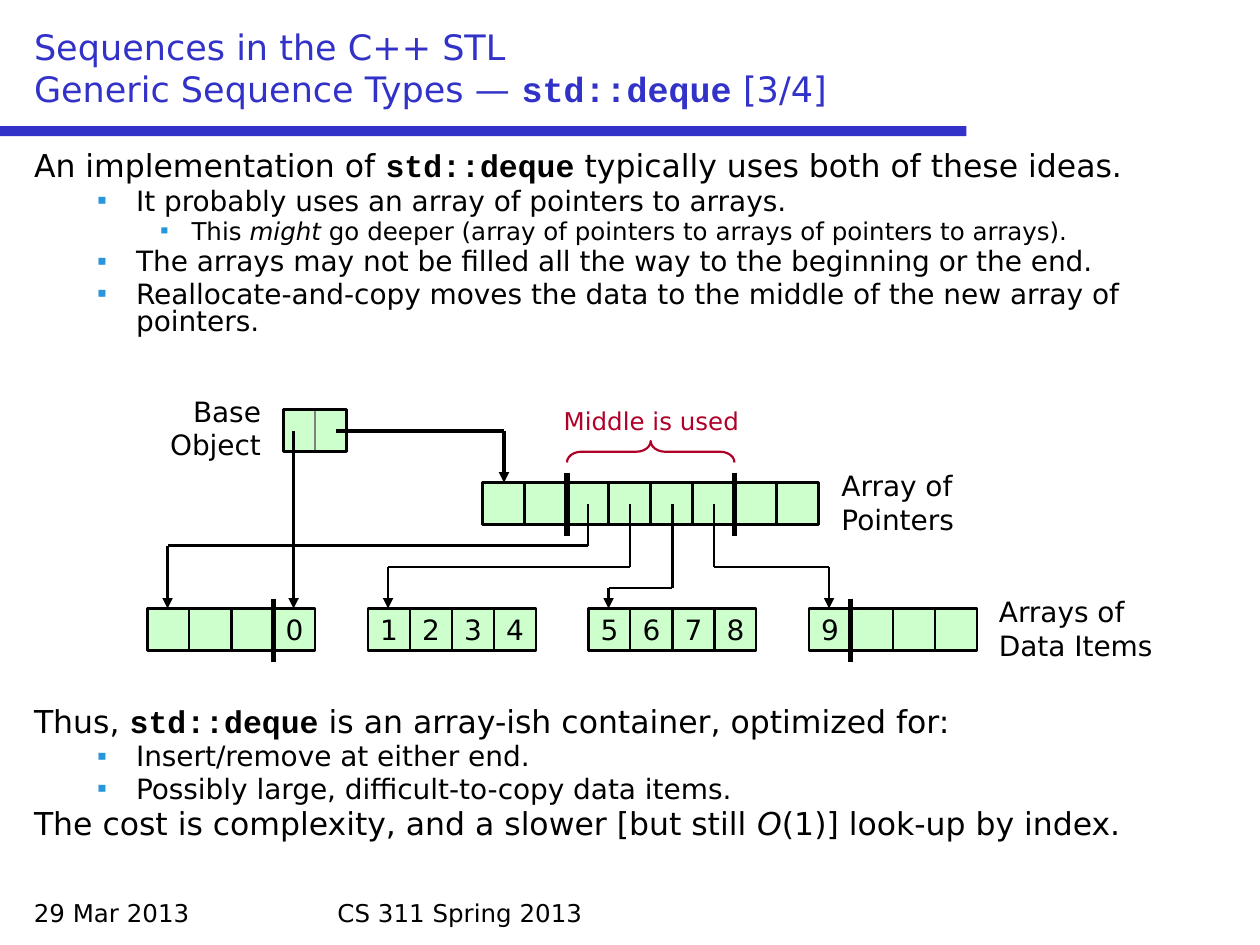
import pptx
import pptx.util
import pptx.dml.color
import pptx.enum.shapes
import pptx.enum.text
import pptx.oxml.ns
from lxml import etree

Inches, Pt = pptx.util.Inches, pptx.util.Pt
RGBColor = pptx.dml.color.RGBColor
SHAPE = pptx.enum.shapes.MSO_SHAPE
ALIGN = pptx.enum.text.PP_ALIGN
ANCHOR = pptx.enum.text.MSO_ANCHOR
qn = pptx.oxml.ns.qn

BLUE = RGBColor(0x32, 0x32, 0xC8)
GREEN = RGBColor(0xCC, 0xFF, 0xCC)
CRIMSON = RGBColor(0xAF, 0x00, 0x28)
GRAY = RGBColor(0x80, 0x80, 0x80)
BLACK = RGBColor(0, 0, 0)
BULLET_BLUE = "2896DC"
SANS, MONO = "DejaVu Sans", "Courier New"

deck = pptx.Presentation()
deck.slide_width, deck.slide_height = Inches(10), Inches(7.5)
slide = deck.slides.add_slide(deck.slide_layouts[1])
shapes = slide.shapes


def write(paragraph, text, size, color=BLACK, align=ALIGN.LEFT):
    """Add text; `backticks` mark code and *stars* mark italics."""
    paragraph.alignment = align
    paragraph.font.size = Pt(size)
    paragraph.font.name = SANS
    paragraph.font.color.rgb = color
    for i, code_part in enumerate(text.split("`")):
        for j, part in enumerate(code_part.split("*")):
            if not part:
                continue
            run = paragraph.add_run()
            run.text = part
            if i % 2:
                run.font.name, run.font.bold = MONO, True
            if j % 2:
                run.font.italic = True


def draw_line(points, width, arrow=False):
    """Join the points by straight lines, with an arrowhead at the end if asked."""
    for start, end in zip(points, points[1:]):
        line = shapes.add_connector(pptx.enum.shapes.MSO_CONNECTOR.STRAIGHT,
                                    *map(Inches, start + end))
        line.line.color.rgb = BLACK
        line.line.width = Pt(width)
        properties = line._element.spPr
        if arrow and end == points[-1]:
            etree.SubElement(properties.find(qn("a:ln")), qn("a:tailEnd"), type="triangle")
        etree.SubElement(properties, qn("a:effectLst"))


# Title and the bar under it
title = shapes.title
title.left, title.top, title.width, title.height = map(Inches, (0.17, 0.17, 9.67, 0.75))
title.text_frame.auto_size = pptx.enum.text.MSO_AUTO_SIZE.NONE
title.text_frame.vertical_anchor = ANCHOR.BOTTOM
heading = title.text_frame.paragraphs[0]
write(heading, "Sequences in the C++ STL", 20, BLUE)
heading.add_line_break()
write(heading, "Generic Sequence Types — `std::deque` [3/4]", 20, BLUE)

bar = shapes.add_shape(SHAPE.RECTANGLE, *map(Inches, (0, 1, 7.67, 0.08)))
bar.shadow.inherit = False
bar.fill.solid()
bar.fill.fore_color.rgb = BLUE
bar.line.fill.background()

# Body list; the space before "Thus" leaves room for the diagram
body = shapes.placeholders[1]
body.left, body.top, body.width, body.height = map(Inches, (0.17, 1.17, 9.67, 5.83))
body.text_frame.auto_size = pptx.enum.text.MSO_AUTO_SIZE.NONE
LEVELS = [(18, 0.38, 0.38), (16, 0.81, 0.31), (14, 1.25, 0.25)]  # size, margin, hanging
points = [
    (0, "An implementation of `std::deque` typically uses both of these ideas."),
    (1, "It probably uses an array of pointers to arrays."),
    (2, "This *might* go deeper (array of pointers to arrays of pointers to arrays)."),
    (1, "The arrays may not be filled all the way to the beginning or the end."),
    (1, "Reallocate-and-copy moves the data to the middle of the new array of pointers."),
    (0, "Thus, `std::deque` is an array-ish container, optimized for:"),
    (1, "Insert/remove at either end."),
    (1, "Possibly large, difficult-to-copy data items."),
    (0, "The cost is complexity, and a slower [but still *O*(1)] look-up by index."),
]
for number, (level, text) in enumerate(points):
    point = body.text_frame.add_paragraph() if number else body.text_frame.paragraphs[0]
    size, margin, hanging = LEVELS[level]
    point.level = level
    point.line_spacing = 0.8
    if text.startswith("Thus"):
        point.space_before = Pt(213)
    properties = point._p.get_or_add_pPr()
    properties.set("marL", str(Inches(margin)))
    properties.set("indent", str(-Inches(hanging)))
    if level:
        bullet_color = etree.SubElement(properties, qn("a:buClr"))
        etree.SubElement(bullet_color, qn("a:srgbClr"), val=BULLET_BLUE)
        etree.SubElement(properties, qn("a:buChar"), char="▪")
    else:
        etree.SubElement(properties, qn("a:buNone"))
    write(point, text, size)

# Cells: base object, array of pointers, arrays of data items
CELL = 1 / 3
BASE_X, BASE_Y = 2.25, 3.25
POINTERS_X, POINTERS_Y = 3.83, 3.83
DATA_Y = 4.83
data_arrays = [["", "", "", "0"], list("1234"), list("5678"), ["9", "", "", ""]]
data_lefts = [1.17 + 1.75 * i for i in range(len(data_arrays))]

cells = [(BASE_X + 0.25 * i, BASE_Y, 0.25, "", GRAY, 0.75) for i in range(2)]
cells += [(BASE_X, BASE_Y, 0.5, "", BLACK, 2)]
cells += [(POINTERS_X + CELL * i, POINTERS_Y, CELL, "", BLACK, 1.25) for i in range(8)]
for left, items in zip(data_lefts, data_arrays):
    cells += [(left + CELL * i, DATA_Y, CELL, item, BLACK, 1.25)
              for i, item in enumerate(items)]
for left, top, width, item, outline, weight in cells:
    cell = shapes.add_shape(SHAPE.RECTANGLE, *map(Inches, (left, top, width, CELL)))
    cell.shadow.inherit = False
    if weight == 2:
        cell.fill.background()
    else:
        cell.fill.solid()
        cell.fill.fore_color.rgb = GREEN
    cell.line.color.rgb = outline
    cell.line.width = Pt(weight)
    if item:
        cell.text_frame.word_wrap = False
        cell.text_frame.vertical_anchor = ANCHOR.MIDDLE
        write(cell.text_frame.paragraphs[0], item, 16, align=ALIGN.CENTER)

# Pointers from the array to the data, each with its turning height
for i, (turn_y, target_x) in enumerate([(4.33, 1.33), (4.5, 3.08), (4.67, 4.83), (4.5, 6.58)]):
    start_x = 4.67 + CELL * i
    draw_line([(start_x, 4), (start_x, turn_y), (target_x, turn_y), (target_x, DATA_Y)],
              1.25, arrow=True)

# Pointers from the base object
draw_line([(2.67, 3.42), (4, 3.42), (4, POINTERS_Y)], 2, arrow=True)
draw_line([(2.33, 3.42), (2.33, DATA_Y)], 2, arrow=True)

# Limits of the used parts
for x, top in [(4.5, 3.75), (5.83, 3.75), (2.17, 4.75), (6.75, 4.75)]:
    draw_line([(x, top), (x, top + 0.5)], 3)

# Brace over the used middle
brace = shapes.add_shape(SHAPE.RIGHT_BRACE, *map(Inches, (5.08, 2.92, 0.17, 1.33)))
brace.rotation = 270
brace.adjustments[0] = 0.67
brace.shadow.inherit = False
brace.fill.background()
brace.line.color.rgb = CRIMSON
brace.line.width = Pt(1.25)

# Labels and footer
labels = [
    ("Base Object", 1.17, 3.08, 1, 0.64, 16, BLACK, ALIGN.RIGHT),
    ("Array of Pointers", 6.58, 3.67, 1.25, 0.64, 16, BLACK, ALIGN.LEFT),
    ("Arrays of Data Items", 7.83, 4.67, 1.5, 0.64, 16, BLACK, ALIGN.LEFT),
    ("Middle is used", 4.17, 3.17, 2, 0.34, 14, CRIMSON, ALIGN.CENTER),
    ("29 Mar 2013", 0.17, 7.08, 2.33, 0.33, 14, BLACK, ALIGN.LEFT),
    ("CS 311 Spring 2013", 2.58, 7.08, 4.83, 0.33, 14, BLACK, ALIGN.LEFT),
]
for text, left, top, width, height, size, color, align in labels:
    label = shapes.add_textbox(*map(Inches, (left, top, width, height)))
    label.text_frame.word_wrap = True
    write(label.text_frame.paragraphs[0], text, size, color, align)

deck.save("out.pptx")
